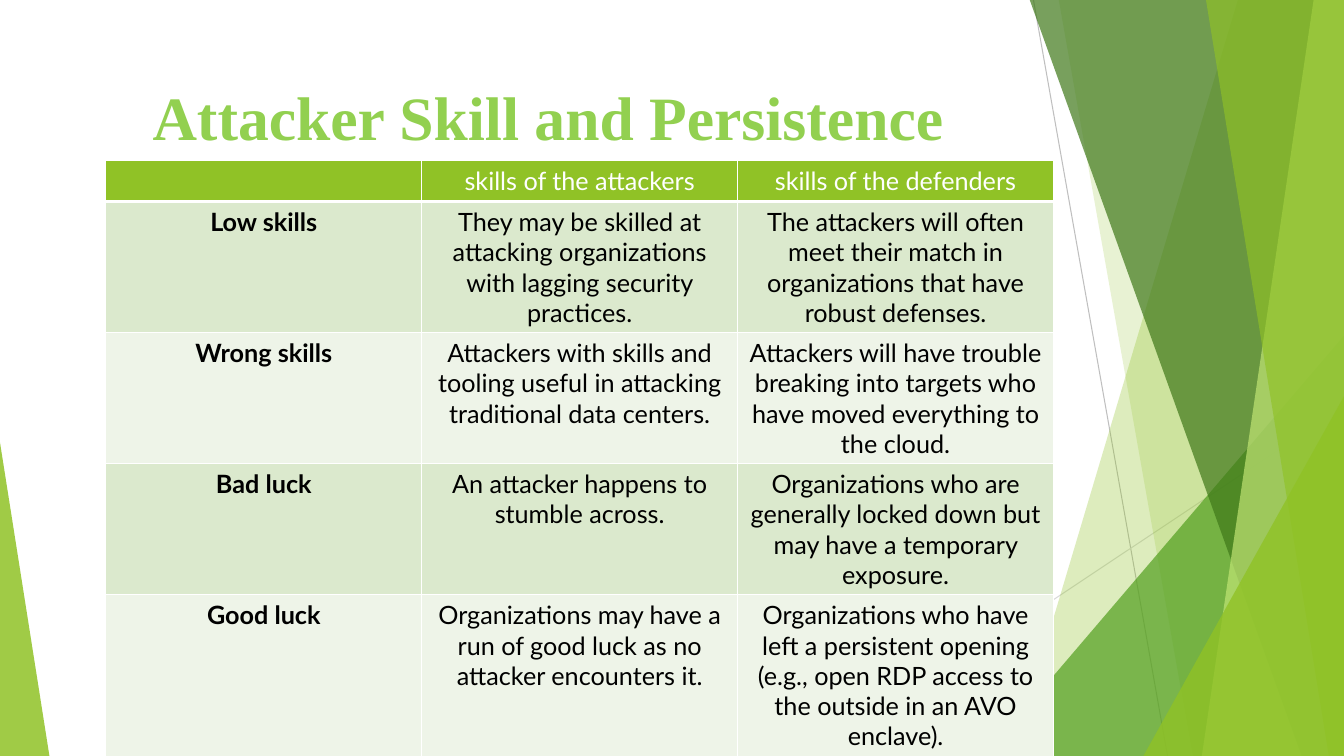
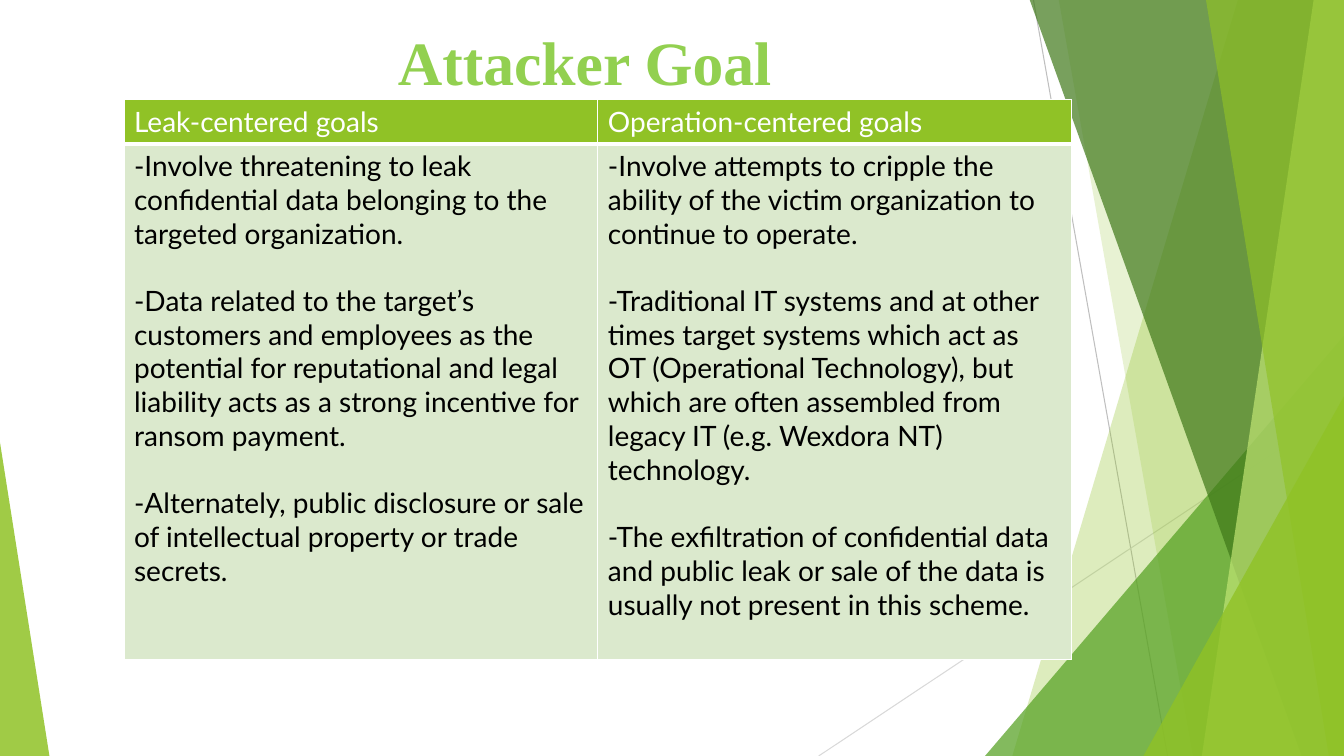
"""Build two slides on attacker skill and attacker goals."""
import dataclasses

import lxml.etree
import pptx
import pptx.dml.color
import pptx.dml.fill
import pptx.enum.shapes
import pptx.enum.text
import pptx.oxml.ns
import pptx.slide
import pptx.table
import pptx.util

Inches = pptx.util.Inches
Pt = pptx.util.Pt
ALIGN = pptx.enum.text.PP_ALIGN
SHAPE = pptx.enum.shapes.MSO_SHAPE
qn = pptx.oxml.ns.qn

COLORS = {
    "white": "FFFFFF", "black": "000000", "title": "92D050",
    "lime": "90C226", "green": "54A021", "forest": "3F7819", "pale": "C0E474",
    "band_dark": "DBE9CD", "band_light": "EEF4E8",
    "gray": "BFBFBF", "light_gray": "D9D9D9",
}
TITLE_FORMAT = {"name": "Times New Roman", "size": Pt(44), "bold": True}
WIDTH, HEIGHT, TOP = 13.33, 7.5, -0.01
TABLE_WIDTH = 9.4


@dataclasses.dataclass
class Ray:
    start: tuple[float, float]
    end: tuple[float, float]
    color: str


@dataclasses.dataclass
class Blade:
    top_x: float
    bottom_x: float
    color: str
    alpha: int


@dataclasses.dataclass
class Corner:
    left: float
    top: float
    width: float
    apex: float
    color: str
    alpha: int


@dataclasses.dataclass
class TableSlide:
    title: str
    title_at: tuple[float, float]
    table_at: tuple[float, float]
    row_heights: list[float]
    rows: list[list[str]]
    size: int
    align: ALIGN
    row_labels: bool = False


BACKDROP = [
    Ray((10.25, 0), (11.58, HEIGHT), "gray"),
    Ray((WIDTH, 4.03), (8.12, HEIGHT), "light_gray"),
    Blade(12.28, 10.04, "lime", 30),
    Blade(10.5, 11.83, "lime", 20),
    Corner(9.77, 3.33, 3.56, 1, "green", 72),
    Blade(10.21, 12.91, "forest", 70),
    Blade(13.03, 11.92, "pale", 70),
    Blade(11.96, 13.18, "lime", 65),
    Corner(11.34, 3.93, 1.99, 1, "lime", 80),
    Corner(0, 4.39, 0.49, 0, "lime", 85),
]

SLIDES = [
    TableSlide(
        "Attacker Skill and Persistence", (0.74, 0.67), (1.05, 1.59),
        [0.41, 1.3, 1.3, 1.3, 1.6],
        [
            ["", "skills of the attackers", "skills of the defenders"],
            ["Low skills",
             "They may be skilled at attacking organizations with lagging security practices.",
             "The attackers will often meet their match in organizations that have robust defenses."],
            ["Wrong skills",
             "Attackers with skills and tooling useful in attacking traditional data centers.",
             "Attackers will have trouble breaking into targets who have moved everything to the cloud."],
            ["Bad luck",
             "An attacker happens to stumble across.",
             "Organizations who are generally locked down but may have a temporary exposure."],
            ["Good luck",
             "Organizations may have a run of good luck as no attacker encounters it.",
             "Organizations who have left a persistent opening (e.g., open RDP access to the "
             "outside in an AVO enclave)."],
        ],
        18, ALIGN.CENTER, True),
    TableSlide(
        "Attacker Goal", (1.1, 0.13), (1.23, 0.99),
        [0.43, 5.12],
        [
            ["Leak-centered goals", "Operation-centered goals"],
            ["-Involve threatening to leak confidential data belonging to the targeted organization.\n"
             "-Data related to the target’s customers and employees as the potential for reputational "
             "and legal liability acts as a strong incentive for ransom payment.\n"
             "-Alternately, public disclosure or sale of intellectual property or trade secrets.",
             "-Involve attempts to cripple the ability of the victim organization to continue to operate.\n"
             "-Traditional IT systems and at other times target systems which act as OT (Operational "
             "Technology), but which are often assembled from legacy IT (e.g. Wexdora NT) technology.\n"
             "-The exfiltration of confidential data and public leak or sale of the data is usually "
             "not present in this scheme."],
        ],
        20, ALIGN.LEFT),
]


def rgb(color: str) -> pptx.dml.color.RGBColor:
    return pptx.dml.color.RGBColor.from_string(COLORS[color])


def paint(fill: pptx.dml.fill.FillFormat, color: str) -> None:
    fill.solid()
    fill.fore_color.rgb = rgb(color)


def draw_ray(s: pptx.slide.Slide, ray: Ray) -> None:
    ends = [Inches(v) for v in ray.start + ray.end]
    sp = s.shapes.add_connector(pptx.enum.shapes.MSO_CONNECTOR.STRAIGHT, *ends)
    sp.line.color.rgb = rgb(ray.color)
    sp.line.width = Pt(0.75)
    lxml.etree.SubElement(sp.element.spPr, qn("a:effectLst"))


def draw_panel(s: pptx.slide.Slide, panel: Blade | Corner) -> None:
    if isinstance(panel, Blade):
        builder = s.shapes.build_freeform(Inches(panel.top_x), Inches(TOP))
        corners = [(WIDTH, TOP), (WIDTH, HEIGHT), (panel.bottom_x, HEIGHT)]
        builder.add_line_segments([(Inches(x), Inches(y)) for x, y in corners])
        sp = builder.convert_to_shape()
    else:
        sp = s.shapes.add_shape(
            SHAPE.ISOSCELES_TRIANGLE, Inches(panel.left), Inches(panel.top),
            Inches(panel.width), Inches(HEIGHT - panel.top))
        sp.adjustments[0] = panel.apex
    sp.shadow.inherit = False
    sp.line.fill.background()
    paint(sp.fill, panel.color)
    color = sp.element.spPr.find(qn("a:solidFill"))[0]
    lxml.etree.SubElement(color, qn("a:alpha"), val=str(panel.alpha * 1000))


def add_backdrop(s: pptx.slide.Slide) -> None:
    kept = len(s.shapes)
    for part in BACKDROP:
        if isinstance(part, Ray):
            draw_ray(s, part)
        else:
            draw_panel(s, part)
    tree = s.slide_layout.shapes.element
    for i, sp in enumerate(list(s.shapes)[kept:]):
        sp.element.xpath(".//p:cNvPr")[0].set("id", str(100 + i))
        tree.insert(2 + i, sp.element)


def add_title(s: pptx.slide.Slide, spec: TableSlide) -> None:
    sp = s.shapes.title
    left, top = spec.title_at
    box = {"left": left, "top": top, "width": TABLE_WIDTH, "height": 1.44}
    for key, value in box.items():
        setattr(sp, key, Inches(value))
    tf = sp.text_frame
    tf.text = spec.title
    tf.vertical_anchor = pptx.enum.text.MSO_ANCHOR.TOP
    tf.margin_top = Inches(0.11)
    p = tf.paragraphs[0]
    p.alignment = ALIGN.CENTER
    for key, value in TITLE_FORMAT.items():
        setattr(p.font, key, value)
    p.font.color.rgb = rgb("title")


def set_borders(cell: pptx.table._Cell, row: int) -> None:
    tc_pr = cell._tc.get_or_add_tcPr()
    widths = {"L": 1, "R": 1, "T": 3 if row == 1 else 1, "B": 3 if row == 0 else 1}
    for side, width in widths.items():
        ln = lxml.etree.SubElement(tc_pr, qn(f"a:ln{side}"), w=str(Pt(width)))
        fill = lxml.etree.SubElement(ln, qn("a:solidFill"))
        lxml.etree.SubElement(fill, qn("a:srgbClr"), val=COLORS["white"])


def fill_cell(cell: pptx.table._Cell, text: str, row: int, col: int, spec: TableSlide) -> None:
    set_borders(cell, row)
    paint(cell.fill, "lime" if row == 0 else "band_dark" if row % 2 else "band_light")
    cell.text = text
    font_format = {"name": "Lato", "size": Pt(spec.size),
                   "bold": spec.row_labels and row > 0 and col == 0}
    for i, p in enumerate(cell.text_frame.paragraphs):
        p.alignment = spec.align
        if i:
            p.space_before = Pt(spec.size * 1.2)
        for key, value in font_format.items():
            setattr(p.font, key, value)
        p.font.color.rgb = rgb("black" if row else "white")


def add_grid(s: pptx.slide.Slide, spec: TableSlide) -> None:
    left, top = spec.table_at
    cols = len(spec.rows[0])
    table = s.shapes.add_table(
        len(spec.rows), cols, Inches(left), Inches(top),
        Inches(TABLE_WIDTH), Inches(sum(spec.row_heights))).table
    for column in table.columns:
        column.width = Inches(TABLE_WIDTH / cols)
    for r, (height, texts) in enumerate(zip(spec.row_heights, spec.rows)):
        table.rows[r].height = Inches(height)
        for c, text in enumerate(texts):
            fill_cell(table.cell(r, c), text, r, c, spec)


def main() -> None:
    prs = pptx.Presentation()
    prs.slide_width, prs.slide_height = Inches(WIDTH), Inches(HEIGHT)
    layout = prs.slide_layouts.get_by_name("Title Only")
    for i, spec in enumerate(SLIDES):
        s = prs.slides.add_slide(layout)
        if i == 0:
            add_backdrop(s)
        add_title(s, spec)
        add_grid(s, spec)
    prs.save("out.pptx")


if __name__ == "__main__":
    main()
